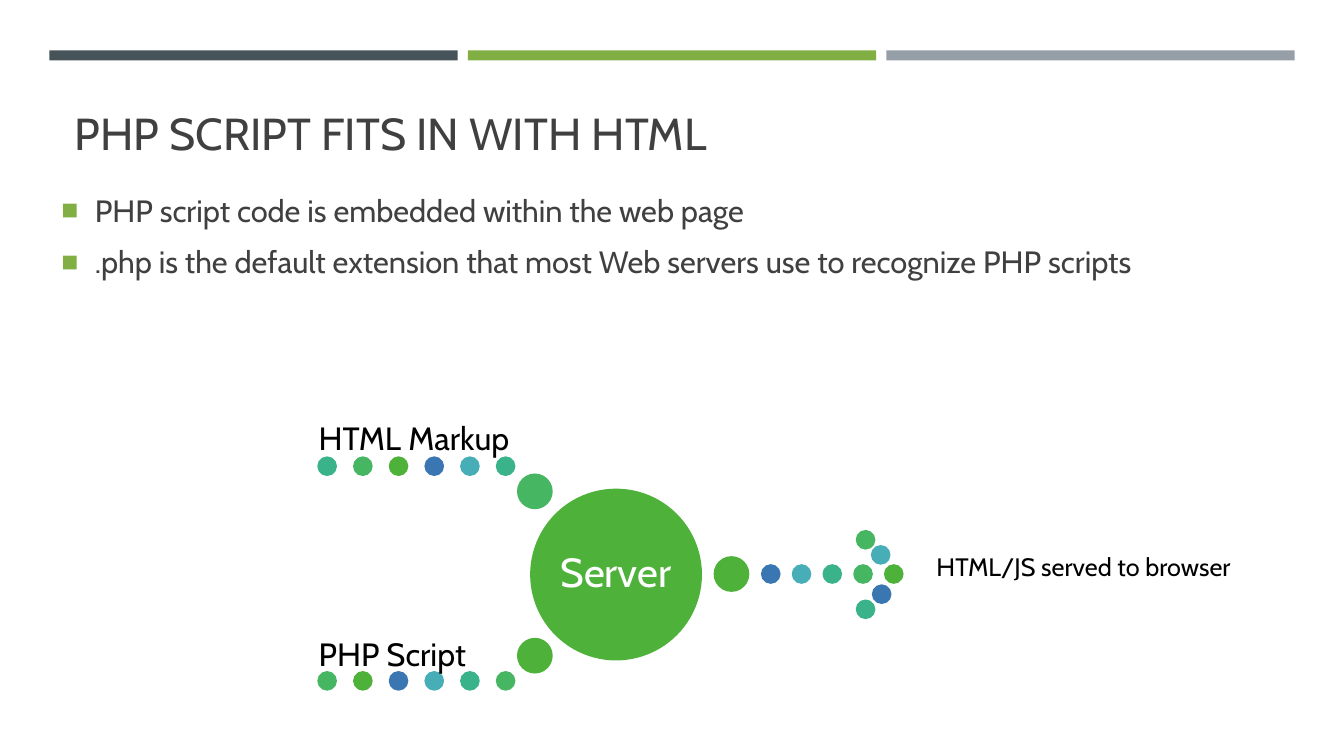
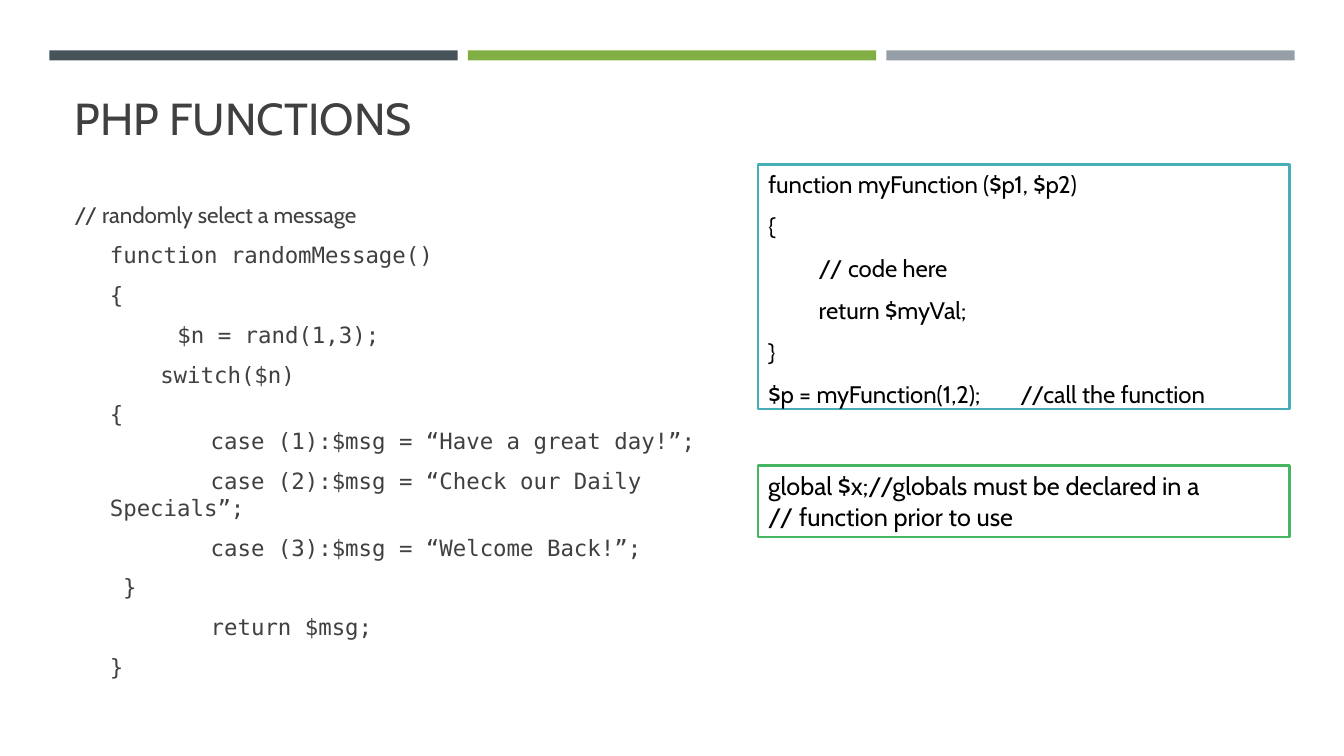
from dataclasses import dataclass
from itertools import cycle
from lxml.etree import SubElement
from pptx import Presentation
from pptx.dml.color import RGBColor
from pptx.enum.shapes import MSO_SHAPE
from pptx.enum.text import MSO_ANCHOR, MSO_AUTO_SIZE, PP_ALIGN
from pptx.oxml.ns import qn
from pptx.util import Inches, Pt


@dataclass(frozen=True)
class Theme:
    sans: str = "Cabin"
    mono: str = "DejaVu Sans Mono"
    ink: str = "404040"
    black: str = "000000"
    white: str = "FFFFFF"
    accent: str = "82AF44"
    bands: tuple = ("465359", "82AF44", "969FA7")
    dots: tuple = ("4EB23A", "47B662", "3AB28A", "47AEB7", "3A76B2")
    title: float = 32
    hub: float = 29
    label: float = 23
    bullet: float = 22
    note: float = 18
    function: float = 17.1
    code: float = 16


theme = Theme()


def paint(shape, fill, line=None):
    shape.shadow.inherit = False
    shape.fill.solid()
    shape.fill.fore_color.rgb = RGBColor.from_string(fill)
    if line:
        shape.line.color.rgb = RGBColor.from_string(line)
        shape.line.width = Pt(1.75)
    else:
        shape.line.fill.background()


def write(box, lines, size, color, at=None, frame=None, bullet=False, **shared):
    """Each line is (text, left margin, first-line indent, format values)."""
    if at:
        for side, length in zip(("left", "top", "width", "height"), at):
            setattr(box, side, Inches(length))
    text_frame = box.text_frame
    frame_values = {"word_wrap": True, "auto_size": MSO_AUTO_SIZE.NONE,
                    "vertical_anchor": MSO_ANCHOR.TOP, **(frame or {})}
    for name, value in frame_values.items():
        setattr(text_frame, name, value)
    for number, (text, margin, indent, own) in enumerate(lines):
        para = text_frame.add_paragraph() if number else text_frame.paragraphs[0]
        values = {"alignment": PP_ALIGN.LEFT, **shared, **own}
        font_name = values.pop("font", theme.sans)
        tab = values.pop("tab", None)
        properties = para._p.get_or_add_pPr()
        properties.set("marL", str(Inches(margin)))
        properties.set("indent", str(Inches(indent)))
        if bullet:
            bullet_color = SubElement(properties, qn("a:buClr"))
            SubElement(bullet_color, qn("a:srgbClr"), val=theme.accent)
            SubElement(properties, qn("a:buSzPct"), val="92000")
            SubElement(properties, qn("a:buChar"), char="■")
        else:
            SubElement(properties, qn("a:buNone"))
        if tab:
            stops = SubElement(properties, qn("a:tabLst"))
            SubElement(stops, qn("a:tab"), pos=str(Inches(tab)), algn="l")
        for name, value in values.items():
            setattr(para, name, value)
        span = para.add_run()
        span.text = text
        for name, value in {"name": font_name, "size": Pt(size)}.items():
            setattr(span.font, name, value)
        span.font.color.rgb = RGBColor.from_string(color)


deck = Presentation()
deck.slide_width, deck.slide_height = Inches(13.33), Inches(7.5)
fit_page = deck.slides.add_slide(deck.slide_layouts[1])
functions_page = deck.slides.add_slide(deck.slide_layouts[3])

# Shared bands, moved to the slide master
for number, color in enumerate(theme.bands):
    band = fit_page.shapes.add_shape(
        MSO_SHAPE.RECTANGLE, Inches(0.49 + 4.15 * number), Inches(0.5),
        Inches(4.05), Inches(0.1))
    paint(band, color)
    deck.slide_master.shapes.element.append(band.element)
    band.element.nvSpPr.cNvPr.set("id", str(100 + number))

# Shared title style
for page, title, height in (
        (fit_page, "PHP SCRIPT FITS IN WITH HTML", 0.86),
        (functions_page, "PHP FUNCTIONS", 0.71)):
    write(page.shapes.title, [(title, 0, 0, {})], theme.title, theme.ink,
          (0.64, 0.77, 12.06, height), {"vertical_anchor": MSO_ANCHOR.BOTTOM})

# Slide 1: bullets
bullets = ("PHP script code is embedded within the web page",
           ".php is the default extension that most Web servers use to "
           "recognize PHP scripts")
write(fit_page.placeholders[1], [(text, 0.33, -0.33, {}) for text in bullets],
      theme.bullet, theme.ink, (0.51, 1.85, 12.13, 1.5), bullet=True,
      space_after=Pt(6))

# Slide 1: dotted arrows around the server, colours in rotation
small, large = 0.17, 0.33
arrow = [(8.78 - 0.305 * step, 5.61, small) for step in range(5)]
arrow += [(7.09, 5.53, large)]
arrow += [(8.5, 5.27, small), (8.5, 5.96, small),
          (8.65, 5.42, small), (8.66, 5.81, small)]
server = [(5.27, 4.86, 1.68)]
markup_row, script_row = (
    [(5.14, joint, large)]
    + [(4.93 - 0.354 * step, top, small) for step in range(6)]
    for joint, top in ((4.71, 4.54), (6.34, 6.67)))
for circles in (arrow + server + markup_row, script_row):
    for (left, top, diameter), color in zip(circles, cycle(theme.dots)):
        circle = fit_page.shapes.add_shape(
            MSO_SHAPE.OVAL, Inches(left), Inches(top),
            Inches(diameter), Inches(diameter))
        paint(circle, color, color)
        if diameter > large:
            write(circle, [("Server", 0, 0, {})], theme.hub, theme.white,
                  frame={"vertical_anchor": MSO_ANCHOR.MIDDLE,
                         "margin_left": Inches(0.04),
                         "margin_right": Inches(0.04)},
                  alignment=PP_ALIGN.CENTER, line_spacing=0.9)

# Slide 1: labels
flush = {f"margin_{side}": 0 for side in ("left", "top", "right", "bottom")}
flush["vertical_anchor"] = MSO_ANCHOR.BOTTOM
for text, at, size, frame, spacing in (
        ("HTML Markup", (3.16, 4.11, 1.95, 0.43), theme.label, flush, 0.9),
        ("PHP Script", (3.16, 6.25, 1.95, 0.43), theme.label, flush, 0.9),
        ("HTML/JS served to browser", (9.19, 5.42, 3.44, 0.4),
         theme.note, {}, 1.0)):
    label = fit_page.shapes.add_textbox(*map(Inches, at))
    write(label, [(text, 0, 0, {})], size, theme.black, frame=frame,
          line_spacing=spacing)

# Slide 2: function syntax
syntax_box = functions_page.placeholders[2]
paint(syntax_box, theme.white, theme.dots[3])
write(syntax_box, [
    ("function myFunction ($p1, $p2)", 0, 0, {}),
    ("{", 0, 0, {}),
    ("// code here", 0.5, 0, {}),
    ("return $myVal;", 0.5, 0, {}),
    ("}", 0, 0, {}),
    ("$p = myFunction(1,2);\t//call the function", 0, 0, {"tab": 2.43}),
], theme.function, theme.black, (7.52, 1.63, 5.27, 2.43), space_after=Pt(6))

# Slide 2: example code
write(functions_page.placeholders[1], [
    ("// randomly select a message", 0, 0, {"font": theme.sans}),
    ("function randomMessage()", 0.35, 0, {}),
    ("{", 0.35, 0, {}),
    ("$n = rand(1,3);", 1.02, 0, {}),
    ("switch($n)", 0.85, 0, {}),
    ("{", 0.35, 0, {"space_after": Pt(0)}),
    ("case (1):$msg = “Have a great day!”;", 1.35, 0, {"space_before": Pt(0)}),
    ("case (2):$msg = “Check our Daily Specials”;", 0.35, 1, {}),
    ("case (3):$msg = “Welcome Back!”;", 1.35, 0, {}),
    ("}", 0.48, 0, {}),
    ("return $msg;", 1.35, 0, {}),
    ("}", 0.35, 0, {}),
], theme.code, theme.ink, (0.64, 1.95, 6.71, 5.67),
    font=theme.mono, space_after=Pt(6))

# Slide 2: note on globals
globals_box = functions_page.shapes.add_shape(
    MSO_SHAPE.RECTANGLE, Inches(7.52), Inches(4.62), Inches(5.27), Inches(0.71))
paint(globals_box, theme.white, theme.dots[1])
write(globals_box, [
    ("global $x;//globals must be declared in a", 0, 0, {}),
    ("// function prior to use", 0, 0, {}),
], theme.note, theme.black)

deck.save("out.pptx")
